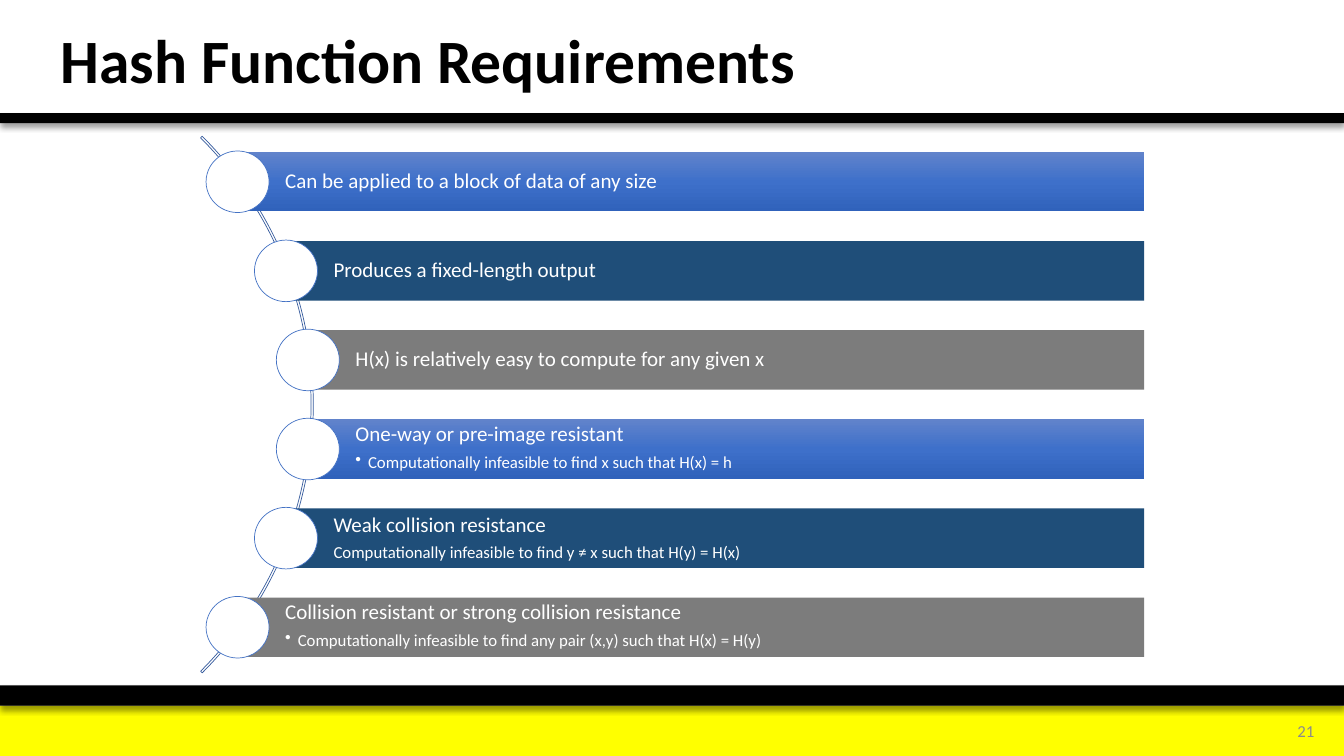
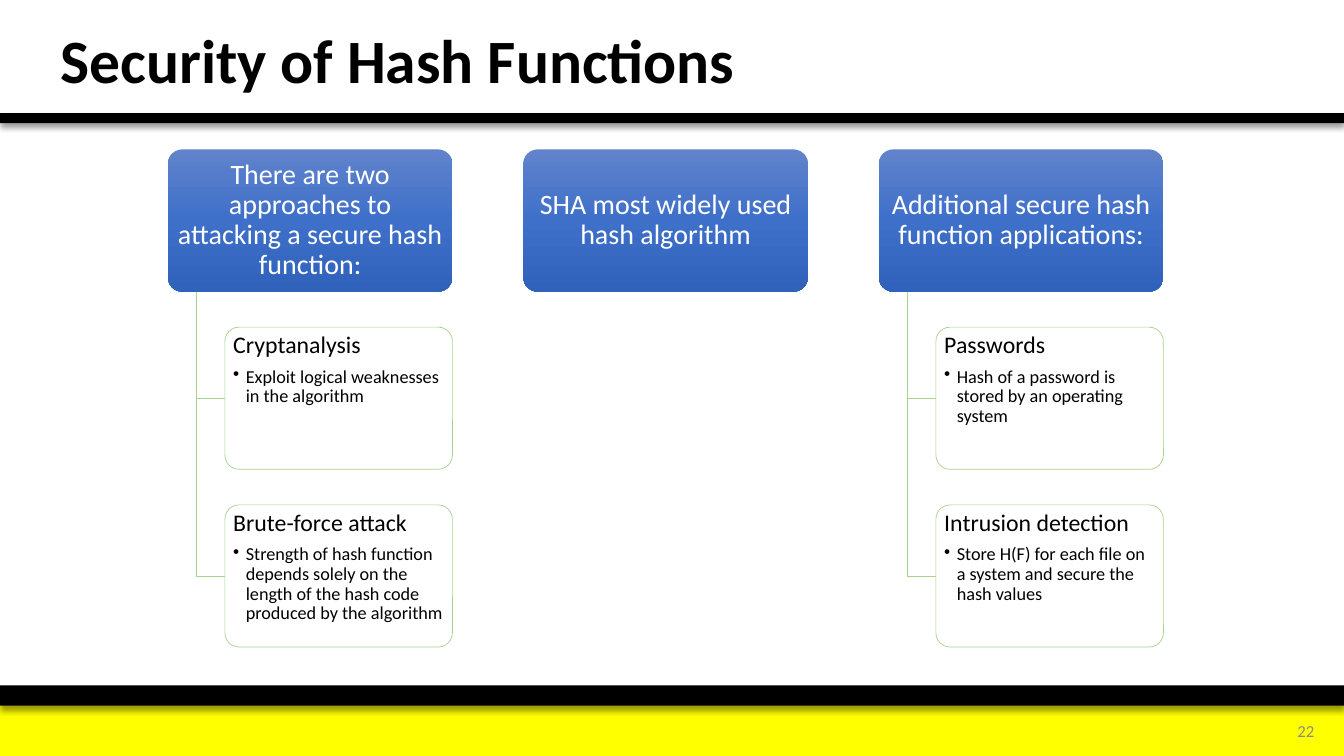
from dataclasses import dataclass
from math import sqrt

import pptx
import pptx.dml.color
import pptx.enum.shapes
import pptx.enum.text
import pptx.oxml.ns
import pptx.util
from lxml import etree

Pt = pptx.util.Pt
Preset = pptx.enum.shapes.MSO_SHAPE
Anchor = pptx.enum.text.MSO_ANCHOR
Align = pptx.enum.text.PP_ALIGN
qn = pptx.oxml.ns.qn


@dataclass(frozen=True)
class Theme:
    font: str = "Calibri"
    black: str = "000000"
    white: str = "FFFFFF"
    yellow: str = "FFFF00"
    navy: str = "1F4E79"
    gray: str = "7C7C7C"
    number: str = "8C8C8C"
    arc: str = "365B9D"
    ring: str = "4472C4"
    branch: str = "A9D18E"
    blues: tuple = ("6183CB", "3E70CA", "3062BB")
    title_size: float = 44
    number_size: float = 12
    row_size: float = 15
    row_detail_size: float = 12
    header_size: float = 20
    branch_size: float = 17
    branch_detail_size: float = 13
    line_width: float = 0.5
    leading: float = 0.9
    space_after: float = 0.35
    bullet_indent: float = 9


THEME = Theme()
WIDTH, HEIGHT = 960, 540

REQUIREMENTS = [
    ("Can be applied to a block of data of any size", None, False),
    ("Produces a fixed-length output", None, False),
    ("H(x) is relatively easy to compute for any given x", None, False),
    ("One-way or pre-image resistant",
     "Computationally infeasible to find x such that H(x) = h", True),
    ("Weak collision resistance",
     "Computationally infeasible to find y ≠ x such that H(y) = H(x)", False),
    ("Collision resistant or strong collision resistance",
     "Computationally infeasible to find any pair (x,y) such that H(x) = H(y)", True),
]

SECURITY = [
    ("There are two approaches to attacking a secure hash function:", [
        ("Cryptanalysis", "Exploit logical weaknesses in the algorithm"),
        ("Brute-force attack",
         "Strength of hash function depends solely on the length of the hash code "
         "produced by the algorithm"),
    ]),
    ("SHA most widely used hash algorithm", []),
    ("Additional secure hash function applications:", [
        ("Passwords", "Hash of a password is stored by an operating system"),
        ("Intrusion detection",
         "Store H(F) for each file on a system and secure the hash values"),
    ]),
]


def rgb(code):
    return pptx.dml.color.RGBColor.from_string(code)


def paint(shape, fill=None, line=None):
    shape.shadow.inherit = False
    if fill is None:
        shape.fill.background()
    elif isinstance(fill, tuple):
        shape.fill.gradient()
        shape.fill.gradient_angle = 270
        stops = shape._element.spPr.find(qn("a:gradFill")).find(qn("a:gsLst"))
        for stop in list(stops):
            stops.remove(stop)
        for index, code in enumerate(fill):
            position = round(100000 * index / (len(fill) - 1))
            stop = etree.SubElement(stops, qn("a:gs"), pos=str(position))
            etree.SubElement(stop, qn("a:srgbClr"), val=code)
    else:
        shape.fill.solid()
        shape.fill.fore_color.rgb = rgb(fill)
    if line is None:
        shape.line.fill.background()
    else:
        shape.line.color.rgb = rgb(line)
        shape.line.width = Pt(THEME.line_width)


def add_block(slide, preset, box, fill=None, line=None):
    block = slide.shapes.add_shape(preset, *(Pt(length) for length in box))
    paint(block, fill, line)
    return block


def cast_shadow(shape):
    effects = shape._element.spPr.find(qn("a:effectLst"))
    shadow = etree.SubElement(
        effects, qn("a:outerShdw"), blurRad=str(Pt(4)), dist=str(Pt(3)),
        dir="5400000", algn="t", rotWithShape="0")
    color = etree.SubElement(shadow, qn("a:srgbClr"), val=THEME.black)
    etree.SubElement(color, qn("a:alpha"), val="40000")


def frame_text(shape, anchor, insets):
    frame = shape.text_frame
    frame.word_wrap = True
    frame.auto_size = pptx.enum.text.MSO_AUTO_SIZE.NONE
    frame.vertical_anchor = anchor
    frame.margin_left, frame.margin_top, frame.margin_right, frame.margin_bottom = (
        Pt(inset) for inset in insets)
    return frame


def write(paragraph, words, size, color, align=Align.LEFT, bold=False):
    paragraph.alignment = align
    paragraph.line_spacing = THEME.leading
    paragraph.space_before = Pt(0)
    paragraph.space_after = Pt(round(size * THEME.space_after, 2))
    run = paragraph.add_run()
    run.text = words
    run.font.name = THEME.font
    run.font.size = Pt(size)
    run.font.bold = bold
    run.font.color.rgb = rgb(color)


def add_bullet(paragraph):
    paragraph.level = 1
    properties = paragraph._p.get_or_add_pPr()
    properties.set("marL", str(Pt(THEME.bullet_indent)))
    properties.set("indent", str(-Pt(THEME.bullet_indent)))
    etree.SubElement(properties, qn("a:buChar"), char="•")


def add_bands(slide):
    add_block(slide, Preset.RECTANGLE, (0, 504, WIDTH, 36), THEME.yellow)
    for top, height in ((489.6, 14.4), (80.8, 7.2)):
        cast_shadow(add_block(slide, Preset.RECTANGLE, (0, top, WIDTH, height), THEME.black))


def add_titled_slide(deck, title, number):
    slide = deck.slides.add_slide(deck.slide_layouts[5])
    add_bands(slide)
    heading = slide.shapes.title
    heading.left, heading.top, heading.width, heading.height = Pt(36), Pt(5), Pt(648), Pt(81)
    frame = frame_text(heading, Anchor.MIDDLE, (7.2, 3.6, 7.2, 3.6))
    write(frame.paragraphs[0], title, THEME.title_size, THEME.black, bold=True)
    page = slide.shapes.add_textbox(Pt(891), Pt(508.5), Pt(55), Pt(29))
    frame = frame_text(page, Anchor.MIDDLE, (7.2, 3.6, 7.2, 3.6))
    write(frame.paragraphs[0], str(number), THEME.number_size, THEME.number, Align.RIGHT)
    return slide


def add_requirement(slide, box, fill, requirement):
    words, detail, bulleted = requirement
    left, top, width, height = box
    bar = add_block(slide, Preset.RECTANGLE, box, fill)
    frame = frame_text(bar, Anchor.TOP if bulleted else Anchor.MIDDLE, (34, 3, 3, 3))
    write(frame.paragraphs[0], words, THEME.row_size, THEME.white)
    if detail:
        paragraph = frame.add_paragraph()
        write(paragraph, detail, THEME.row_detail_size, THEME.white)
        if bulleted:
            add_bullet(paragraph)
    knob_width, knob_height = 45, 44
    knob = (left - knob_width / 2, top + (height - knob_height) / 2, knob_width, knob_height)
    add_block(slide, Preset.OVAL, knob, THEME.white, THEME.ring)


def add_requirement_arc(slide, box, requirements):
    left, top, width, height = box
    bar_height, diameter, track = 42.5, 542, 269
    center_x, center_y = left - 192, top + height / 2
    arc = add_block(
        slide, Preset.BLOCK_ARC,
        (center_x - diameter / 2, center_y - diameter / 2, diameter, diameter),
        line=THEME.arc)
    for index, value in enumerate((189, 27, 0.003)):
        arc.adjustments[index] = value
    pitch = (height - bar_height) / (len(requirements) - 1)
    fills = (THEME.blues, THEME.navy, THEME.gray)
    for index, requirement in enumerate(requirements):
        bar_top = top + index * pitch
        rise = bar_top + bar_height / 2 - center_y
        bar_left = center_x + sqrt(track ** 2 - rise ** 2)
        bar = (bar_left, bar_top, left + width - bar_left, bar_height)
        add_requirement(slide, bar, fills[index % len(fills)], requirement)


def add_elbow(slide, start_x, start_y, end_x, end_y):
    builder = slide.shapes.build_freeform(Pt(start_x), Pt(start_y))
    builder.add_line_segments(
        [(Pt(start_x), Pt(end_y)), (Pt(end_x), Pt(end_y))], close=False)
    paint(builder.convert_to_shape(), line=THEME.branch)


def add_topic(slide, box, header, branches):
    left, top, width, height = box
    topic = add_block(slide, Preset.ROUNDED_RECTANGLE, box, THEME.blues)
    topic.adjustments[0] = 0.1
    frame = frame_text(topic, Anchor.MIDDLE, (3, 2, 3, 2))
    write(frame.paragraphs[0], header, THEME.header_size, THEME.white, Align.CENTER)
    for index, (name, detail) in enumerate(branches, 1):
        branch_left, branch_top = left + 0.2 * width, top + index * 1.25 * height
        add_elbow(slide, left + 0.1 * width, top + height, branch_left, branch_top + height / 2)
        branch = add_block(
            slide, Preset.ROUNDED_RECTANGLE,
            (branch_left, branch_top, 0.8 * width, height), THEME.white, THEME.branch)
        branch.adjustments[0] = 0.1
        frame = frame_text(branch, Anchor.TOP, (3, 1.5, 3, 1.5))
        write(frame.paragraphs[0], name, THEME.branch_size, THEME.black)
        paragraph = frame.add_paragraph()
        write(paragraph, detail, THEME.branch_detail_size, THEME.black)
        add_bullet(paragraph)


def add_topics(slide, box, topics):
    left, top, width, height = box
    topic_width = width / (1.25 * len(topics) - 0.25)
    topic_height = height / 3.5
    for index, (header, branches) in enumerate(topics):
        topic_left = left + index * 1.25 * topic_width
        add_topic(slide, (topic_left, top, topic_width, topic_height), header, branches)


def main():
    deck = pptx.Presentation()
    deck.slide_width, deck.slide_height = Pt(WIDTH), Pt(HEIGHT)
    requirements = add_titled_slide(deck, "Hash Function Requirements", 21)
    add_requirement_arc(requirements, (144.8, 108.6, 672.5, 360.7), REQUIREMENTS)
    security = add_titled_slide(deck, "Security of Hash Functions", 22)
    add_topics(security, (120, 106.7, 711, 355.5), SECURITY)
    deck.save("out.pptx")


if __name__ == "__main__":
    main()
